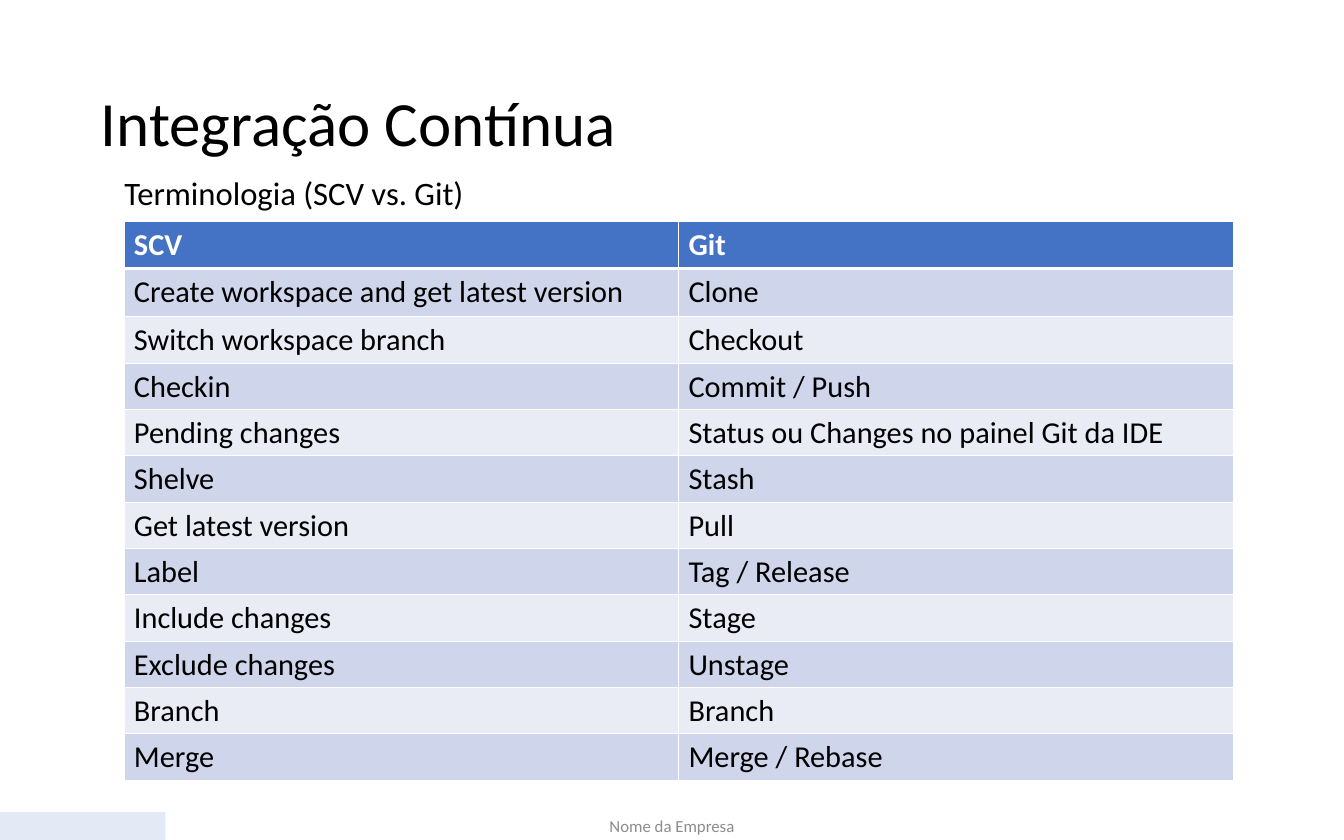
from dataclasses import dataclass

from lxml import etree
from pptx import Presentation
from pptx.dml.color import RGBColor
from pptx.enum.shapes import MSO_SHAPE
from pptx.enum.text import MSO_ANCHOR, PP_ALIGN
from pptx.oxml.ns import qn
from pptx.util import Cm, Pt

RECT = MSO_SHAPE.RECTANGLE
MIDDLE, TOP = MSO_ANCHOR.MIDDLE, MSO_ANCHOR.TOP
LEFT, CENTER = PP_ALIGN.LEFT, PP_ALIGN.CENTER
TITLE_ONLY = 5


@dataclass(frozen=True)
class Theme:
    font: str = "Calibri"
    text: str = "000000"
    white: str = "FFFFFF"
    muted: str = "8C8C8C"
    accent: str = "E3EAF6"
    header: str = "4472C4"
    bands: tuple = ("CFD5EA", "E9EBF5")
    title_size: float = 54
    subtitle_size: float = 28
    table_size: float = 26
    footer_size: float = 14.4


THEME = Theme()

TERMS = [
    ("SCV", "Git"),
    ("Create workspace and get latest version", "Clone"),
    ("Switch workspace branch", "Checkout"),
    ("Checkin", "Commit / Push"),
    ("Pending changes", "Status ou Changes no painel Git da IDE"),
    ("Shelve", "Stash"),
    ("Get latest version", "Pull"),
    ("Label", "Tag / Release"),
    ("Include changes", "Stage"),
    ("Exclude changes", "Unstage"),
    ("Branch", "Branch"),
    ("Merge", "Merge / Rebase"),
]


def write(tf, text, size, color, bold=False, align=LEFT):
    tf.text = text
    p = tf.paragraphs[0]
    p.alignment = align
    font = p.runs[0].font
    font.name, font.size, font.bold = THEME.font, Pt(size), bold
    font.color.rgb = RGBColor.from_string(color)
    return p


def add_title(slide, box, text):
    sp = slide.shapes.title
    sp.left, sp.top, sp.width, sp.height = box
    tf = sp.text_frame
    tf.vertical_anchor = MIDDLE
    write(tf, text, THEME.title_size, THEME.text).line_spacing = 0.9


def add_label(slide, box, text, size, color, anchor=TOP, align=LEFT):
    tf = slide.shapes.add_textbox(*box).text_frame
    tf.word_wrap = True
    tf.vertical_anchor = anchor
    write(tf, text, size, color, align=align)


def set_borders(cell, widths):
    """Draw white borders; widths are points for left, right, top, bottom."""
    tc_pr = cell._tc.get_or_add_tcPr()
    for i, (tag, width) in enumerate(zip(("a:lnL", "a:lnR", "a:lnT", "a:lnB"), widths)):
        ln = etree.Element(qn(tag), w=str(Pt(width)))
        fill = etree.SubElement(ln, qn("a:solidFill"))
        etree.SubElement(fill, qn("a:srgbClr"), val=THEME.white)
        tc_pr.insert(i, ln)


def add_terms_table(slide, box, rows):
    left, top, width, height = box
    table = slide.shapes.add_table(len(rows), len(rows[0]), *box).table
    for column in table.columns:
        column.width = width // len(rows[0])
    for r, row in enumerate(rows):
        table.rows[r].height = Cm(1.47) if r == 1 else Cm(1.4)
        is_header = r == 0
        fill = THEME.header if is_header else THEME.bands[(r - 1) % 2]
        color = THEME.white if is_header else THEME.text
        for c, text in enumerate(row):
            cell = table.cell(r, c)
            cell.margin_left = cell.margin_right = Cm(0.3)
            cell.margin_top = cell.margin_bottom = Cm(0.15)
            cell.fill.solid()
            cell.fill.fore_color.rgb = RGBColor.from_string(fill)
            set_borders(cell, (1, 1, 3 if r == 1 else 1, 3 if is_header else 1))
            write(cell.text_frame, text, THEME.table_size, color, bold=is_header)


def add_footer(slide, box, text):
    """Fill the left corner of the footer band and centre the text in it."""
    left, top, width, height = box
    sp = slide.shapes.add_shape(RECT, left, top, Cm(5), height)
    sp.shadow.inherit = False
    sp.fill.solid()
    sp.fill.fore_color.rgb = RGBColor.from_string(THEME.accent)
    sp.line.fill.background()
    label_width, label_height = Cm(13.72), Cm(1.35)
    label_box = (left + (width - label_width) // 2, top - Cm(0.25),
                 label_width, label_height)
    add_label(slide, label_box, text, THEME.footer_size, THEME.muted, MIDDLE, CENTER)


def main():
    prs = Presentation()
    prs.slide_width, prs.slide_height = Cm(40.64), Cm(25.4)
    slide = prs.slides.add_slide(prs.slide_layouts[TITLE_ONLY])
    add_footer(slide, (0, Cm(24.56), prs.slide_width, Cm(0.84)), "Nome da Empresa")
    add_title(slide, (Cm(2.79), Cm(1.35), Cm(35.05), Cm(4.9)), "Integração Contínua")
    add_terms_table(slide, (Cm(3.75), Cm(6.71), Cm(33.54), Cm(16.97)), TERMS)
    add_label(slide, (Cm(3.51), Cm(5.11), Cm(14.55), Cm(1.45)),
              "Terminologia (SCV vs. Git)", THEME.subtitle_size, THEME.text)
    prs.save("out.pptx")


if __name__ == "__main__":
    main()
